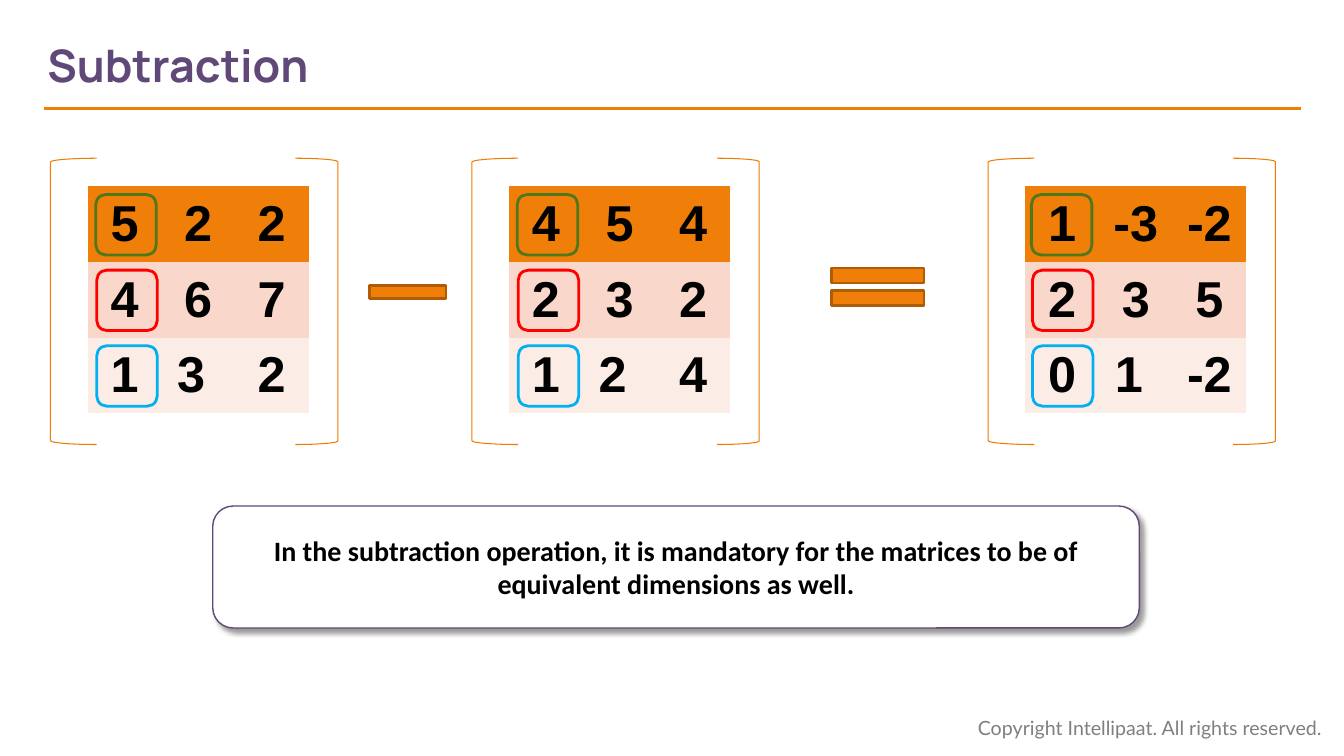
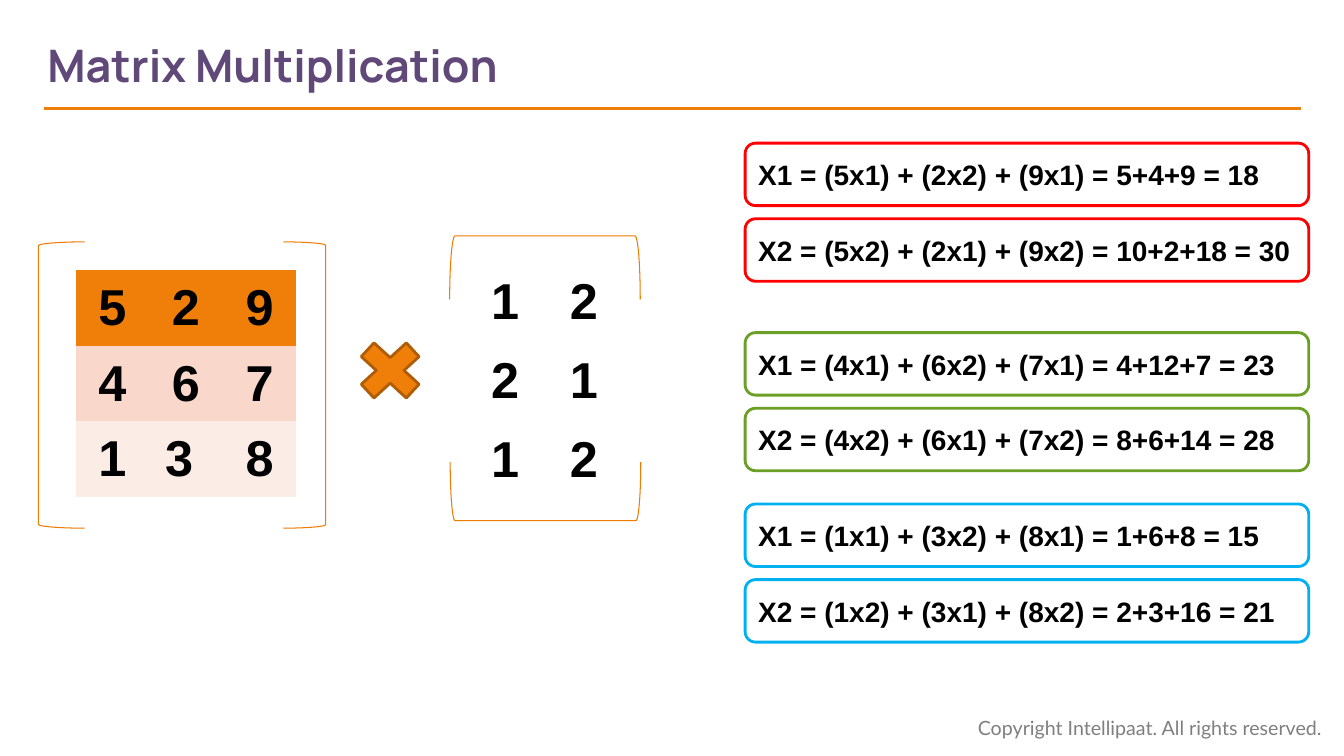
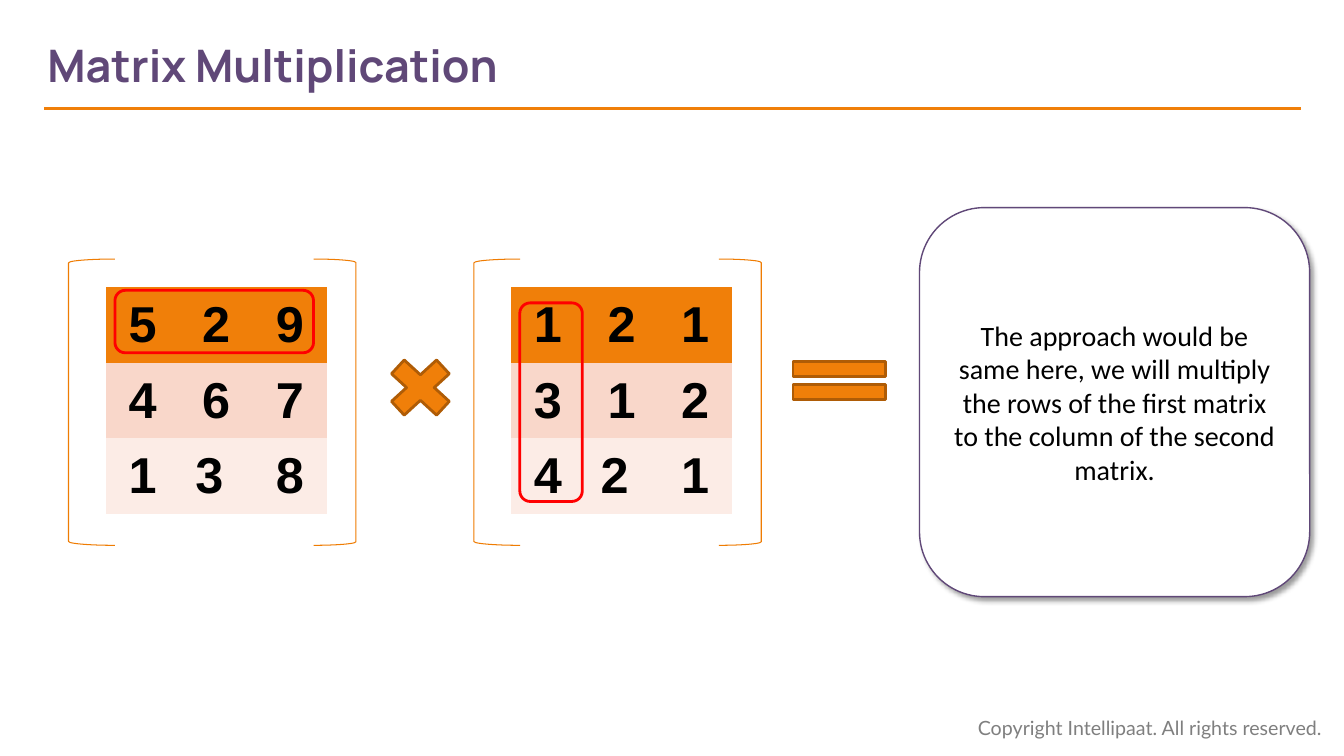
"""Build three slides on matrix subtraction and multiplication."""
from dataclasses import dataclass

from lxml import etree
from pptx import Presentation
from pptx import util as u
from pptx.dml.color import RGBColor
from pptx.enum import shapes, text
from pptx.oxml.ns import qn

KIND = shapes.MSO_SHAPE
ALIGN = text.PP_ALIGN
MID = text.MSO_ANCHOR.MIDDLE
PLAIN = "{2D5ABB26-0587-4C30-8999-92F81FD0307C}"


@dataclass(frozen=True)
class Theme:
    ink: str = "000000"
    plum: str = "604878"
    gray: str = "7F7F7F"
    white: str = "FFFFFF"
    orange: str = "F07F09"
    edge: str = "AF5C06"
    wire: str = "EF7C02"
    red: str = "FF0000"
    moss: str = "50771B"
    leaf: str = "6B9F25"
    sky: str = "00B0F0"
    bands: tuple = ("F07F09", "F9D7CA", "FCECE6")
    title: tuple = ("Manrope", 32, True)
    foot: tuple = ("Lato", 14, False)
    digit: tuple = ("Arial", 36, True)
    sum: tuple = ("Arial", 20, True)
    note: tuple = ("Calibri", 20, False)
    claim: tuple = ("Calibri", 20, True)


T = Theme()

FOOT = "Copyright Intellipaat. All rights reserved."
TITLES = ["Subtraction", "Matrix Multiplication", "Matrix Multiplication"]

TERMS = [
    (0.87, 0.95, ["5", "2", "2"], ["4", "6", "7"], ["1", "3 ", "2"]),
    (5.05, 5.13, ["4", "5", "4"], ["2", "3", "2"], ["1", "2 ", "4"]),
    (10.17, 10.23, ["1", "-3", "-2"], ["2", "3", "5"], ["0", "1 ", "-2"]),
]
CLAIM = ("In the subtraction operation, it is mandatory for the matrices "
         "to be of equivalent dimensions as well.")

FIRST = [["5", "2", "9"], ["4", "6", "7"], ["1", "3 ", "8"]]
PAIR = [["1", "2"], ["2", "1"], ["1", "2"]]
CUBE = [["1", "2", "1"], ["3", "1", "2"], ["4", "2 ", "1"]]
SUMS = [
    (1.42, T.red, ["X1 = (5x1) + (2x2) + (9x1) = 5+4+9 = 18",
                   "X2 = (5x2) + (2x1) + (9x2) = 10+2+18 = 30"]),
    (3.3, T.leaf, ["X1 = (4x1) + (6x2) + (7x1) = 4+12+7 = 23",
                   "X2 = (4x2) + (6x1) + (7x2) = 8+6+14 = 28"]),
    (5.0, T.sky, ["X1 = (1x1) + (3x2) + (8x1) = 1+6+8 = 15",
                  "X2 = (1x2) + (3x1) + (8x2) = 2+3+16 = 21"]),
]
NOTE = ("The approach would be same here, we will multiply the rows of the "
        "first matrix to the column of the second matrix.")


def rgb(code):
    return RGBColor.from_string(code)


def place(*box):
    return [u.Inches(side) for side in box]


def write(frame, words, style, color=T.ink, align=ALIGN.LEFT):
    frame.word_wrap = True
    para = frame.paragraphs[0]
    para.alignment = align
    run = para.add_run()
    run.text = words
    font = run.font
    font.name, size, font.bold = style
    font.size = u.Pt(size)
    font.color.rgb = rgb(color)


def draw(slide, kind, box, line, width, fill=None, turn=0):
    shape = slide.shapes.add_shape(kind, *place(*box))
    shape.shadow.inherit = False
    shape.rotation = turn
    shape.line.color.rgb = rgb(line)
    shape.line.width = u.Pt(width)
    if fill:
        shape.fill.solid()
        shape.fill.fore_color.rgb = rgb(fill)
    else:
        shape.fill.background()
    return shape


def sign(slide, kind, box):
    draw(slide, kind, box, T.edge, 2, T.orange)


def mark(slide, box, color, turn=0):
    return draw(slide, KIND.FLOWCHART_ALTERNATE_PROCESS, box, color, 2, turn=turn)


def card(slide, box, words, style):
    shape = draw(slide, KIND.ROUNDED_RECTANGLE, box, T.plum, 1, T.white)
    glow = etree.SubElement(
        shape._element.spPr.find(qn("a:effectLst")), qn("a:outerShdw"),
        blurRad=str(u.Pt(4)), dist=str(u.Pt(3)), dir="2700000",
        algn="tl", rotWithShape="0")
    tint = etree.SubElement(glow, qn("a:srgbClr"), val=T.ink)
    etree.SubElement(tint, qn("a:alpha"), val="40000")
    shape.text_frame.vertical_anchor = MID
    write(shape.text_frame, words, style, align=ALIGN.CENTER)


def grid(slide, left, top, rows, wide, high, bands=None):
    cols = len(rows[0])
    table = slide.shapes.add_table(
        len(rows), cols, *place(left, top, wide * cols, high * len(rows))).table
    table.first_row = table.horz_banding = False
    table._tbl.tblPr.find(qn("a:tableStyleId")).text = PLAIN
    for col in table.columns:
        col.width = u.Inches(wide)
    for i, row in enumerate(rows):
        table.rows[i].height = u.Inches(high)
        for j, words in enumerate(row):
            cell = table.cell(i, j)
            cell.vertical_anchor = MID
            if bands:
                cell.fill.solid()
                cell.fill.fore_color.rgb = rgb(bands[i])
            else:
                cell.fill.background()
            write(cell.text_frame, words, T.digit, align=ALIGN.CENTER)


def matrix(slide, left, top, rows):
    for kind, shift, wide in ((KIND.LEFT_BRACKET, -0.37, 0.46),
                              (KIND.RIGHT_BRACKET, 2.06, 0.42)):
        draw(slide, kind, (left + shift, top - 0.28, wide, 2.84), T.wire, 0.75)
    grid(slide, left, top, rows, 0.73, 0.75, T.bands)


def start(deck, title):
    slide = deck.slides.add_slide(deck.slide_layouts[6])
    foot = slide.shapes.add_textbox(*place(9.6, 7.05, 3.67, 0.34)).text_frame
    write(foot, FOOT, T.foot, T.gray)
    foot.auto_size = text.MSO_AUTO_SIZE.SHAPE_TO_FIT_TEXT
    rule = slide.shapes.add_connector(
        shapes.MSO_CONNECTOR.STRAIGHT, *place(12.9, 1.08, 0.44, 1.08))
    rule.line.color.rgb = rgb(T.orange)
    rule.line.width = u.Pt(2.25)
    etree.SubElement(rule._element.spPr, qn("a:effectLst"))
    head = slide.shapes.add_textbox(*place(0.47, 0.22, 9.47, 0.84)).text_frame
    head.margin_left = 0
    head.vertical_anchor = MID
    write(head, title, T.title, T.plum)
    return slide


def minus(slide):
    card(slide, (2.11, 5.02, 9.19, 1.21), CLAIM, T.claim)
    sign(slide, KIND.MATH_MINUS, (3.53, 2.62, 1.03, 0.55))
    sign(slide, KIND.MATH_EQUAL, (8.08, 2.53, 1.25, 0.63))
    for left, ring, *rows in TERMS:
        matrix(slide, left, 1.85, rows)
        for i, color in enumerate((T.moss, T.red, T.sky)):
            nudge = 0.01 if i else 0
            mark(slide, (ring + nudge, 1.93 + 0.75 * i, 0.6, 0.6), color)


def times(slide):
    matrix(slide, 0.75, 2.68, FIRST)
    sign(slide, KIND.MATH_MULTIPLY, (3.44, 3.28, 0.86, 0.79))
    for top, color, lines in SUMS:
        for i, words in enumerate(lines):
            box = mark(slide, (7.39, top + 0.75 * i, 5.59, 0.62), color)
            box.text_frame.vertical_anchor = MID
            write(box.text_frame, words, T.sum)
    draw(slide, KIND.LEFT_BRACKET, (5.09, 1.71, 0.63, 1.89), T.wire, 0.75, turn=90)
    draw(slide, KIND.RIGHT_BRACKET, (5.12, 3.93, 0.58, 1.89), T.wire, 0.75, turn=90)
    grid(slide, 4.62, 2.61, PAIR, 0.78, 0.78)


def square(slide):
    matrix(slide, 1.05, 2.85, FIRST)
    sign(slide, KIND.MATH_MULTIPLY, (3.74, 3.45, 0.86, 0.79))
    sign(slide, KIND.MATH_EQUAL, (7.7, 3.46, 1.25, 0.63))
    matrix(slide, 5.07, 2.85, CUBE)
    card(slide, (9.12, 2.06, 3.87, 3.86), NOTE, T.note)
    mark(slide, (1.14, 2.88, 1.97, 0.62), T.red)
    mark(slide, (4.48, 3.68, 1.97, 0.62), T.red, turn=90)


def main():
    deck = Presentation()
    deck.slide_width, deck.slide_height = place(13.33, 7.5)
    for title, build in zip(TITLES, (minus, times, square)):
        build(start(deck, title))
    deck.save("out.pptx")


if __name__ == "__main__":
    main()
